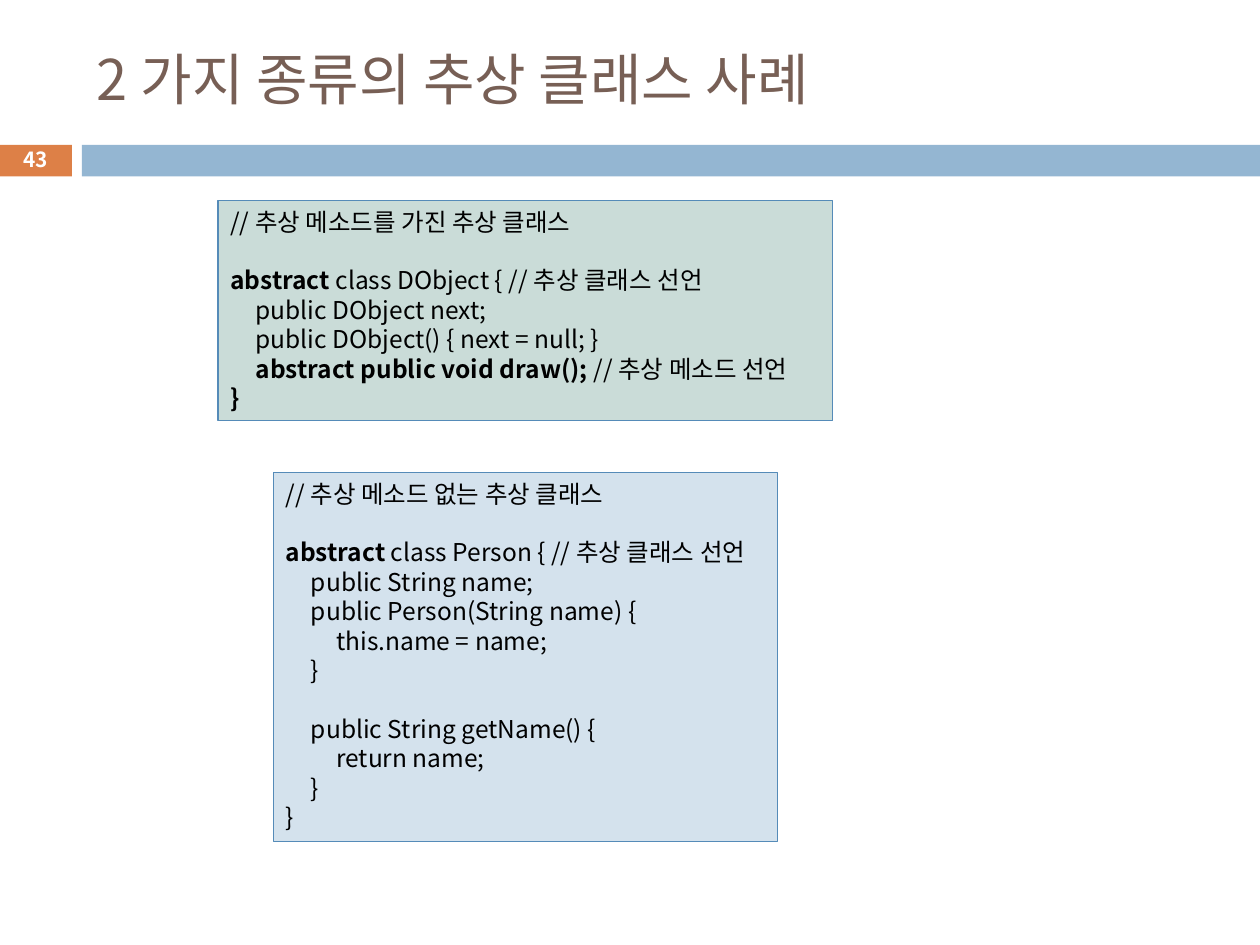
"""Build a slide with two kinds of abstract class."""
from lxml import etree
from pptx import Presentation
from pptx.dml.color import RGBColor
from pptx.enum.shapes import MSO_SHAPE
from pptx.enum.text import MSO_ANCHOR, PP_ALIGN
from pptx.oxml.ns import qn
from pptx.util import Inches, Pt

RECT = MSO_SHAPE.RECTANGLE
TOP, MIDDLE = MSO_ANCHOR.TOP, MSO_ANCHOR.MIDDLE
LEFT, CENTER = PP_ALIGN.LEFT, PP_ALIGN.CENTER
FONT = "Noto Sans CJK KR"
PITCH, STEP = 16.8, 0.2

TITLE = "2 가지 종류의 추상 클래스 사례"
PAGE = "43"
BARS = [((-0.01, 1.15, 0.58, 0.25), "DD8047"),
        ((0.65, 1.15, 9.35, 0.25), "94B6D2")]
# Each line: indent level, blank lines above, bold part, plain part
BOXES = [
    ((1.73, 1.59, 4.88, 1.75), "CADCD8", [
        (0, 0, "", "// 추상 메소드를 가진 추상 클래스"),
        (0, 1, "abstract ", "class DObject { // 추상 클래스 선언"),
        (1, 0, "", "public DObject next;"),
        (1, 0, "", "public DObject() { next = null; }"),
        (1, 0, "abstract public void draw(); ", "// 추상 메소드 선언"),
        (0, 0, "}", ""),
    ]),
    ((2.17, 3.75, 4, 2.93), "D4E2ED", [
        (0, 0, "", "// 추상 메소드 없는 추상 클래스"),
        (0, 1, "abstract ", "class Person { // 추상 클래스 선언"),
        (1, 0, "", "public String name;"),
        (1, 0, "", "public Person(String name) {"),
        (2, 0, "", "this.name = name;"),
        (1, 0, "", "}"),
        (1, 1, "", "public String getName() {"),
        (2, 0, "", "return name;"),
        (1, 0, "", "}"),
        (0, 0, "", "}"),
    ]),
]


def color(text):
    return RGBColor.from_string(text)


def block(slide, place, fill, line=None):
    shape = slide.shapes.add_shape(RECT, *map(Inches, place))
    shape.shadow.inherit = False
    shape.fill.solid()
    shape.fill.fore_color.rgb = color(fill)
    if line:
        shape.line.color.rgb = color(line)
        shape.line.width = Pt(0.75)
    else:
        shape.line.fill.background()
    return shape


def style(para, size, tint, align=LEFT):
    para.alignment = align
    font = para.font
    font.name, font.size = FONT, Pt(size)
    font.color.rgb = color(tint)
    base = para._p.pPr.find(qn("a:defRPr"))
    east = etree.Element(qn("a:ea"), typeface=FONT)
    base.find(qn("a:latin")).addnext(east)


def label(slide, place, text, size, tint, align=LEFT, bold=False):
    frame = slide.shapes.add_textbox(*map(Inches, place)).text_frame
    frame.word_wrap = True
    frame.vertical_anchor = MIDDLE
    para = frame.paragraphs[0]
    para.text = text
    style(para, size, tint, align)
    para.font.bold = bold


def code(shape, lines):
    frame = shape.text_frame
    frame.vertical_anchor = TOP
    for i, (level, gap, strong, plain) in enumerate(lines):
        para = frame.add_paragraph() if i else frame.paragraphs[0]
        style(para, 14, "000000")
        para.line_spacing = Pt(PITCH)
        para.space_before = Pt(gap * PITCH)
        para._p.pPr.set("marL", str(Inches(level * STEP)))
        for text, bold in ((strong, True), (plain, False)):
            if text:
                run = para.add_run()
                run.text = text
                run.font.bold = bold


def main():
    deck = Presentation()
    deck.slide_width, deck.slide_height = Inches(10), Inches(7.5)
    slide = deck.slides.add_slide(deck.slide_layouts[6])
    for place, fill in BARS:
        block(slide, place, fill)
    label(slide, (0.67, 0.25, 8.92, 0.74), TITLE, 32, "775F55")
    for place, fill, lines in BOXES:
        code(block(slide, place, fill, "558BB8"), lines)
    label(slide, (-0.01, 1.13, 0.58, 0.27), PAGE, 11.9, "FFFFFF", CENTER, True)
    deck.save("out.pptx")


if __name__ == "__main__":
    main()
